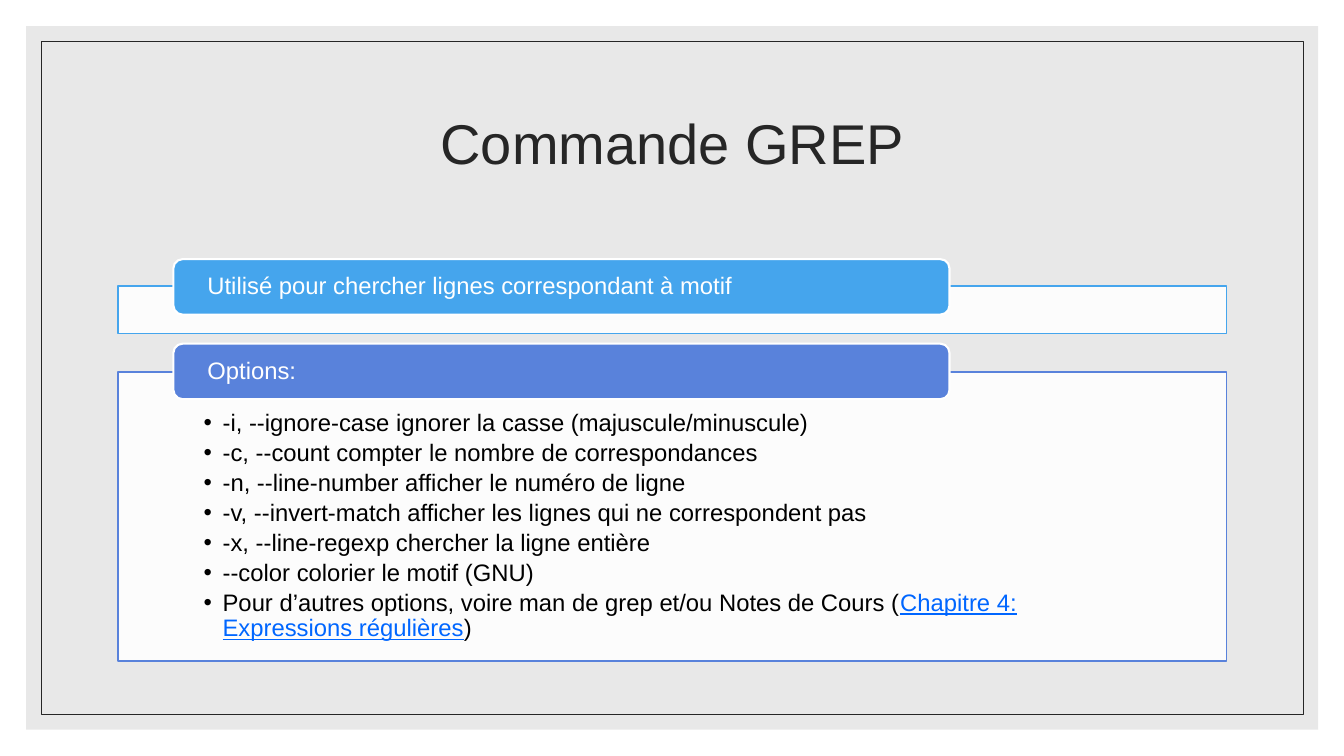
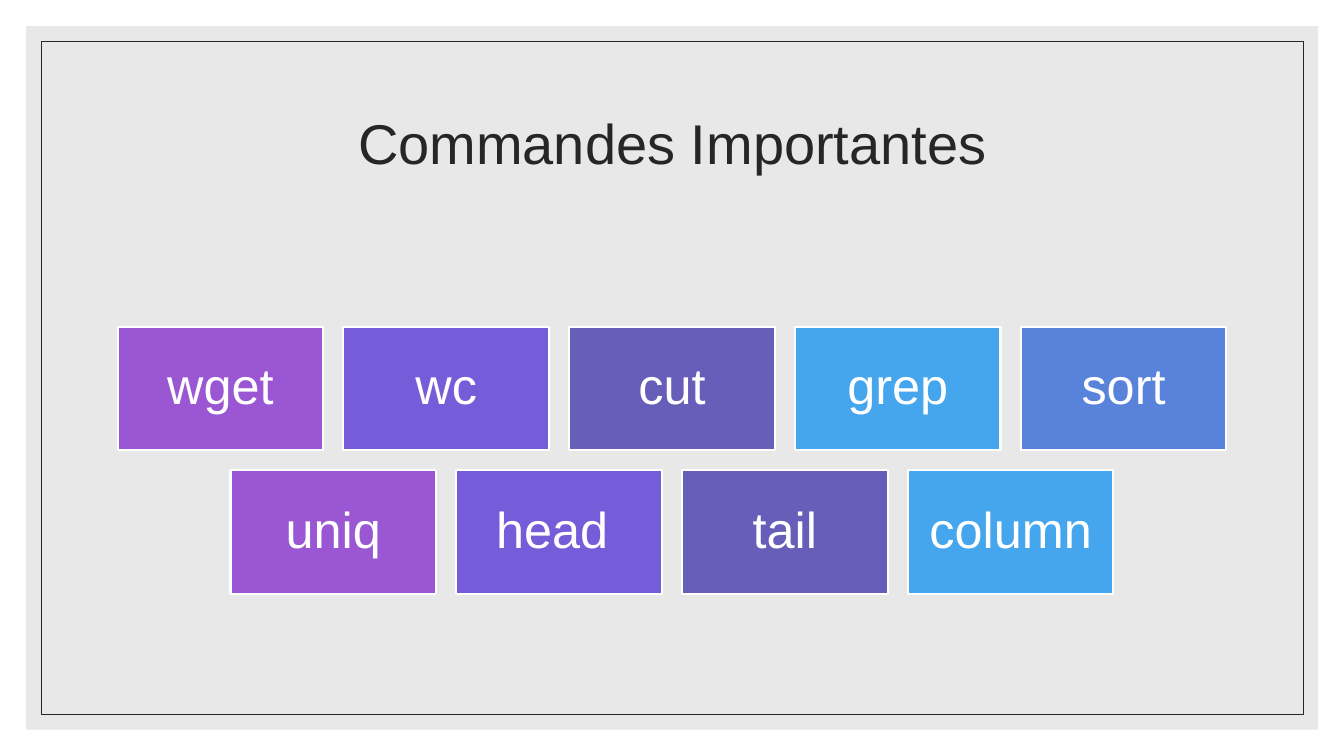
"""Build two slides on shell commands: grep options and a command grid."""
from dataclasses import dataclass

from lxml.etree import SubElement
from pptx import Presentation
from pptx.dml.color import RGBColor
from pptx.enum.shapes import MSO_SHAPE as Preset
from pptx.enum.text import MSO_ANCHOR as Anchor, MSO_AUTO_SIZE as AutoSize, PP_ALIGN as Align
from pptx.oxml.ns import qn
from pptx.presentation import Presentation as Deck
from pptx.shapes.autoshape import Shape
from pptx.slide import Slide
from pptx.util import Cm, Pt

COLOURS = {
    "white": "FFFFFF",
    "grey": "D9D9D9",
    "ink": "262626",
    "black": "000000",
    "link": "0066FF",
    "purple": "9B57D3",
    "violet": "755DD9",
    "indigo": "665EB8",
    "sky": "45A5ED",
    "blue": "5982DB",
}
FONT = "Arial"
SLIDE_WIDTH, SLIDE_HEIGHT = 33.87, 19.05
MARGIN, CONTENT_WIDTH = 2.97, 27.94


@dataclass(frozen=True)
class Box:
    left: float
    top: float
    width: float
    height: float


@dataclass(frozen=True)
class Look:
    fill: str | None = None
    line: str | None = None
    line_width: float = 1
    opacity: int = 100


@dataclass(frozen=True)
class TextStyle:
    size: float
    colour: str
    align: Align = Align.LEFT
    anchor: Anchor = Anchor.MIDDLE
    insets: tuple[float, float, float, float] = (0.25, 0.13, 0.25, 0.13)
    space_after: float = 0
    bullet_indent: float = 0


@dataclass(frozen=True)
class Span:
    text: str
    colour: str | None = None
    underline: bool = False


@dataclass(frozen=True)
class Header:
    text: str
    top: float
    colour: str


TITLE_BOX = Box(MARGIN, 1.78, CONTENT_WIDTH, 3.81)
TITLE_STYLE = TextStyle(40, "ink", Align.CENTER)
HEADER_STYLE = TextStyle(17, "white", insets=(0.79, 0, 0.79, 0))
OPTION_STYLE = TextStyle(17, "black", anchor=Anchor.TOP, insets=(2.16, 0.99, 2.16, 0.33),
                         space_after=3, bullet_indent=0.48)
TILE_STYLE = TextStyle(36, "white", Align.CENTER, insets=(0.38, 0.38, 0.38, 0.38))

BANDS = [
    (Box(0.66, 0.66, 32.56, 17.73), Look("grey", opacity=60)),
    (Box(1.04, 1.04, 31.8, 16.97), Look(line="ink", line_width=0.5)),
]

HEADERS = [
    Header("Utilisé pour chercher lignes correspondant à motif", 6.53, "sky"),
    Header("Options:", 8.66, "blue"),
]
OPTIONS = [
    [Span("-i, --ignore-case ignorer la casse (majuscule/minuscule)")],
    [Span("-c, --count compter le nombre de correspondances")],
    [Span("-n, --line-number afficher le numéro de ligne")],
    [Span("-v, --invert-match afficher les lignes qui ne correspondent pas")],
    [Span("-x, --line-regexp chercher la ligne entière")],
    [Span("--color colorier le motif (GNU)")],
    [
        Span("Pour d’autres options, voire man de grep et/ou Notes de Cours ("),
        Span("Chapitre 4: Expressions régulières", "link", True),
        Span(")"),
    ],
]

COMMAND_ROWS = [
    ["wget", "wc", "cut", "grep", "sort"],
    ["uniq", "head ", "tail", "column"],
]
TILE_COLOURS = ["purple", "violet", "indigo", "sky", "blue"]
TILE_WIDTH, TILE_HEIGHT, TILE_GAP, GRID_TOP = 5.18, 3.11, 0.51, 8.23


def rgb(name: str) -> RGBColor:
    return RGBColor.from_string(COLOURS[name])


def place(shape: Shape, box: Box) -> None:
    shape.left, shape.top = Cm(box.left), Cm(box.top)
    shape.width, shape.height = Cm(box.width), Cm(box.height)


def paint(shape: Shape, look: Look) -> None:
    if look.fill:
        shape.fill.solid()
        shape.fill.fore_color.rgb = rgb(look.fill)
        if look.opacity < 100:
            colour = shape.element.xpath("./p:spPr/a:solidFill/a:srgbClr")[0]
            SubElement(colour, qn("a:alpha")).set("val", str(look.opacity * 1000))
    else:
        shape.fill.background()
    if look.line:
        shape.line.color.rgb = rgb(look.line)
        shape.line.width = Pt(look.line_width)
    else:
        shape.line.fill.background()


def add_box(slide: Slide, box: Box, look: Look, preset: Preset = Preset.RECTANGLE) -> Shape:
    shape = slide.shapes.add_shape(
        preset, Cm(box.left), Cm(box.top), Cm(box.width), Cm(box.height))
    shape.shadow.inherit = False
    paint(shape, look)
    return shape


def write(shape: Shape, paragraphs: list[list[Span]], style: TextStyle) -> None:
    frame = shape.text_frame
    frame.word_wrap = True
    frame.auto_size = AutoSize.NONE
    frame.vertical_anchor = style.anchor
    (frame.margin_left, frame.margin_top,
     frame.margin_right, frame.margin_bottom) = map(Cm, style.insets)
    for index, spans in enumerate(paragraphs):
        paragraph = frame.add_paragraph() if index else frame.paragraphs[0]
        paragraph.alignment = style.align
        paragraph.line_spacing = 0.9
        paragraph.space_before = Pt(0)
        paragraph.space_after = Pt(style.space_after)
        if style.bullet_indent:
            indent = Cm(style.bullet_indent)
            properties = paragraph._p.get_or_add_pPr()
            properties.set("marL", str(indent))
            properties.set("indent", str(-indent))
            SubElement(properties, qn("a:buFont")).set("typeface", FONT)
            SubElement(properties, qn("a:buChar")).set("char", "•")
        for span in spans:
            run = paragraph.add_run()
            run.text = span.text
            run.font.name = FONT
            run.font.size = Pt(style.size)
            run.font.color.rgb = rgb(span.colour or style.colour)
            if span.underline:
                run.font.underline = True


def add_titled_slide(presentation: Deck, layout_name: str, title: str) -> Slide:
    slide = presentation.slides.add_slide(presentation.slide_layouts.get_by_name(layout_name))
    place(slide.shapes.title, TITLE_BOX)
    write(slide.shapes.title, [[Span(title)]], TITLE_STYLE)
    return slide


def move_bands_to_master(presentation: Deck, slide: Slide) -> None:
    tree = presentation.slide_master.shapes.element
    for index, (box, look) in enumerate(BANDS):
        element = add_box(slide, box, look).element
        element.xpath("./p:nvSpPr/p:cNvPr")[0].set("id", str(20 + index))
        tree.insert(2 + index, element)


def build_grep(presentation: Deck) -> Slide:
    slide = add_titled_slide(presentation, "Title and Content", "Commande GREP")
    options = slide.placeholders[1]
    place(options, Box(MARGIN, 9.37, CONTENT_WIDTH, 7.29))
    paint(options, Look("white", "blue", opacity=90))
    write(options, OPTIONS, OPTION_STYLE)
    add_box(slide, Box(MARGIN, 7.21, CONTENT_WIDTH, 1.19), Look("white", "sky", opacity=90))
    for header in HEADERS:
        shape = add_box(slide, Box(4.37, header.top, 19.56, 1.4),
                        Look(header.colour, "white", 1.5), Preset.ROUNDED_RECTANGLE)
        write(shape, [[Span(header.text)]], HEADER_STYLE)
    return slide


def build_commands(presentation: Deck) -> Slide:
    slide = add_titled_slide(presentation, "Title Only", "Commandes Importantes")
    for row, commands in enumerate(COMMAND_ROWS):
        row_width = len(commands) * (TILE_WIDTH + TILE_GAP) - TILE_GAP
        row_left = (SLIDE_WIDTH - row_width) / 2
        top = GRID_TOP + row * (TILE_HEIGHT + TILE_GAP)
        for column, (command, colour) in enumerate(zip(commands, TILE_COLOURS)):
            left = row_left + column * (TILE_WIDTH + TILE_GAP)
            tile = add_box(slide, Box(left, top, TILE_WIDTH, TILE_HEIGHT),
                           Look(colour, "white", 1.5))
            write(tile, [[Span(command)]], TILE_STYLE)
    return slide


def main() -> None:
    presentation = Presentation()
    presentation.slide_width, presentation.slide_height = Cm(SLIDE_WIDTH), Cm(SLIDE_HEIGHT)
    grep_slide = build_grep(presentation)
    move_bands_to_master(presentation, grep_slide)
    build_commands(presentation)
    presentation.save("out.pptx")


if __name__ == "__main__":
    main()
